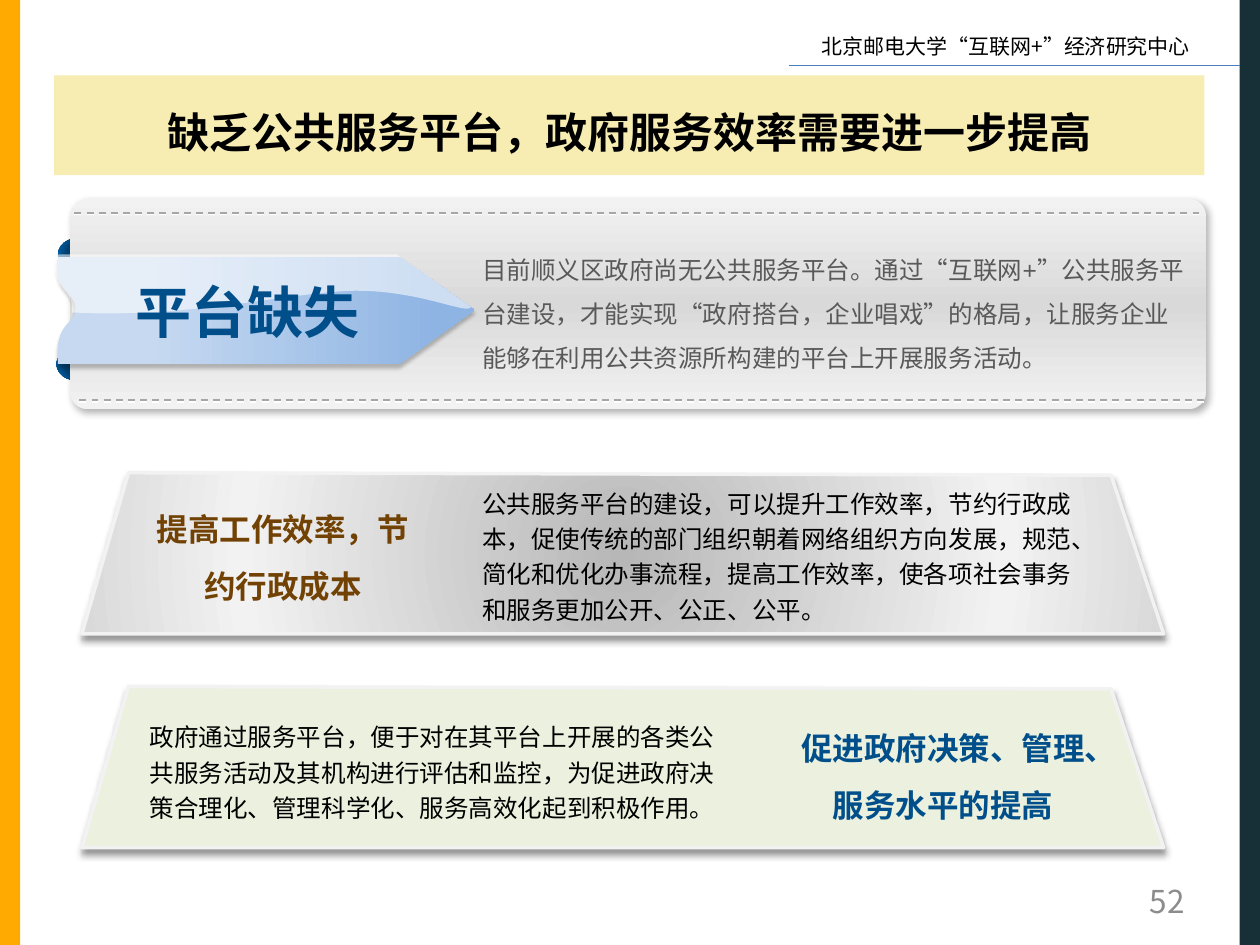
from collections import namedtuple
from dataclasses import dataclass

from lxml import etree
from pptx import Presentation
from pptx.dml.color import RGBColor
from pptx.enum.dml import MSO_LINE
from pptx.enum.shapes import MSO_CONNECTOR, MSO_SHAPE
from pptx.enum.text import MSO_ANCHOR, MSO_AUTO_SIZE, PP_ALIGN
from pptx.oxml.ns import qn
from pptx.util import Cm, Pt

RECTANGLE, ROUNDED, OVAL = MSO_SHAPE.RECTANGLE, MSO_SHAPE.ROUNDED_RECTANGLE, MSO_SHAPE.OVAL
STRAIGHT, DASH = MSO_CONNECTOR.STRAIGHT, MSO_LINE.DASH
LEFT, CENTER, RIGHT = PP_ALIGN.LEFT, PP_ALIGN.CENTER, PP_ALIGN.RIGHT
TOP, MIDDLE = MSO_ANCHOR.TOP, MSO_ANCHOR.MIDDLE

Box = namedtuple("Box", "left top width height")
Gradient = namedtuple("Gradient", "stops angle")
Shadow = namedtuple("Shadow", "color alpha blur distance angle")


@dataclass(frozen=True)
class Theme:
    font: str = "Noto Sans CJK SC"
    latin: str = "Arial"
    narrow: str = "Arial Narrow"
    black: str = "000000"
    white: str = "FFFFFF"
    orange: str = "FFAA00"
    dark: str = "172F37"
    rule: str = "4B7EBC"
    yellow: str = "E9CD23"
    blue: str = "004F8A"
    brown: str = "714203"
    gray: str = "595959"
    number: str = "8C8C8C"
    stitch: str = "A6A6A6"
    edge: str = "F2F2F2"
    green: str = "EBF1DE"
    small: int = 12
    body: int = 14
    heading: int = 18
    title: int = 24
    label: int = 32
    silver: Gradient = Gradient(((0, "B7B7B7"), (70, "F2F2F2"), (100, "D9D9D9")), None)
    pin: Gradient = Gradient(((44, "004272"), (81, "005EA2"), (100, "0070C0")), None)
    card: Gradient = Gradient(((0, "F2F2F2"), (50, "D9D9D9"), (100, "F2F2F2")), 90)
    arrow: Gradient = Gradient(((9, "C6D9F1"), (22, "C6D9F1"), (92, "8EB4E3"), (100, "8EB4E3")), 0)


THEME = Theme()


def add_element(parent, tag, **attributes):
    return etree.SubElement(parent, qn(tag), {key: str(value) for key, value in attributes.items()})


def add_color(parent, color, alpha=100):
    element = add_element(parent, "a:srgbClr", val=color)
    if alpha < 100:
        add_element(element, "a:alpha", val=alpha * 1000)


def set_gradient(shape, gradient):
    shape.fill.background()
    properties = shape._element.spPr
    fill = etree.Element(qn("a:gradFill"), rotWithShape="1")
    stops = add_element(fill, "a:gsLst")
    for position, color in gradient.stops:
        add_color(add_element(stops, "a:gs", pos=position * 1000), color)
    if gradient.angle is None:
        path = add_element(fill, "a:path", path="circle")
        add_element(path, "a:fillToRect", l=50000, t=50000, r=50000, b=50000)
    else:
        add_element(fill, "a:lin", ang=gradient.angle * 60000, scaled=0)
    properties.replace(properties.find(qn("a:noFill")), fill)


def set_shadow(effects, shadow):
    outer = add_element(effects, "a:outerShdw", blurRad=Pt(shadow.blur), dist=Pt(shadow.distance),
                        dir=shadow.angle * 60000, algn="ctr", rotWithShape=0)
    add_color(outer, shadow.color, shadow.alpha)


def style_shape(shape, fill, alpha=100, line=None, shadow=None):
    if isinstance(fill, Gradient):
        set_gradient(shape, fill)
    else:
        shape.fill.solid()
        shape.fill.fore_color.rgb = RGBColor.from_string(fill)
        if alpha < 100:
            color = shape._element.spPr.find(qn("a:solidFill"))[0]
            add_element(color, "a:alpha", val=alpha * 1000)
    if line:
        shape.line.color.rgb = RGBColor.from_string(line)
        shape.line.width = Pt(2)
    else:
        shape.line.fill.background()
    shape.shadow.inherit = False
    if shadow:
        set_shadow(shape._element.spPr.find(qn("a:effectLst")), shadow)
    return shape


def place(box, left, top, width, height):
    return Box(box.left + left, box.top + top, width, height)


def add_block(shapes, kind, box, fill, **style):
    return style_shape(shapes.add_shape(kind, *map(Cm, box)), fill, **style)


def curve(start, first, second, end, steps=16):
    for step in range(1, steps + 1):
        t = step / steps
        weights = ((1 - t) ** 3, 3 * t * (1 - t) ** 2, 3 * t * t * (1 - t), t ** 3)
        yield tuple(sum(w * p[axis] for w, p in zip(weights, (start, first, second, end)))
                    for axis in (0, 1))


def add_outline(shapes, box, segments, fill, **style):
    points = []
    for segment in segments:
        points.extend(curve(points[-1], *segment) if isinstance(segment[0], tuple) else [segment])
    points = [(Cm(box.left + x), Cm(box.top + y)) for x, y in points]
    builder = shapes.build_freeform(*points[0], scale=1.0)
    builder.add_line_segments(points[1:], close=True)
    return style_shape(builder.convert_to_shape(), fill, **style)


def add_line(shapes, start, end, color, width, dash=None, shadow=None):
    connector = shapes.add_connector(STRAIGHT, *map(Cm, start + end))
    connector.line.color.rgb = RGBColor.from_string(color)
    connector.line.width = Pt(width)
    if dash:
        connector.line.dash_style = dash
    effects = add_element(connector._element.spPr, "a:effectLst")
    if shadow:
        set_shadow(effects, shadow)


def write_text(shape, text, size=THEME.body, color=THEME.black, font=THEME.font, bold=False,
               align=LEFT, anchor=TOP, spacing=1.0, grow=False):
    frame = shape.text_frame
    frame.word_wrap = True
    frame.vertical_anchor = anchor
    frame.auto_size = MSO_AUTO_SIZE.SHAPE_TO_FIT_TEXT if grow else MSO_AUTO_SIZE.NONE
    paragraph = frame.paragraphs[0]
    paragraph.alignment = align
    paragraph.line_spacing = spacing
    run = paragraph.add_run()
    run.text = text
    run.font.size = Pt(size)
    run.font.bold = bold
    run.font.name = font
    run.font.color.rgb = RGBColor.from_string(color)
    add_element(run._r.get_or_add_rPr(), "a:ea", typeface=THEME.font)


def add_text(shapes, box, text, **style):
    write_text(shapes.add_textbox(*map(Cm, box)), text, **style)


def add_page_frame(shapes, box):
    bar = 0.41
    right = box.width - bar
    add_block(shapes, RECTANGLE, place(box, 0, 0, bar, box.height), THEME.orange)
    add_block(shapes, RECTANGLE, place(box, right, 0, bar, box.height), THEME.dark)
    add_text(shapes, place(box, 16.31, 0.56, 8.2, 0.76), "北京邮电大学“互联网+”经济研究中心",
             size=THEME.small, grow=True)
    add_line(shapes, (15.9, 1.32), (right, 1.32), THEME.rule, 0.75)
    add_text(shapes, place(box, 18.21, 17.65, 5.92, 1.02), "52", size=THEME.heading,
             color=THEME.number, align=RIGHT, anchor=MIDDLE)


def add_title(shapes, box, text):
    write_text(add_block(shapes, RECTANGLE, box, THEME.yellow, alpha=35), text, size=THEME.title,
               bold=True, align=CENTER, anchor=MIDDLE, spacing=1.25)


def add_banner(shapes, box, label, text):
    for left, top in ((-0.28, 3), (-0.25, 0.79)):
        add_block(shapes, OVAL, place(box, left, top, 0.81, 0.66), THEME.pin)
    card = add_block(shapes, ROUNDED, box, THEME.card, shadow=Shadow(THEME.black, 30, 4.5, 2.6, 53))
    card.adjustments[0] = 0.08
    arrow = [(-0.25, 1.17), (6.63, 1.17), (8.15, 2.24), (6.63, 3.33), (-0.25, 3.33),
             ((-0.33, 2.44), (0.1, 2.57), (0.1, 2.21)),
             ((0.1, 1.88), (-0.38, 1.8), (-0.25, 1.17))]
    gloss = [(-0.3, 1.12), (6.58, 1.12), (8.08, 2.18),
             ((7.98, 2.34), (7.09, 1.85), (5.74, 1.85)),
             ((4.39, 1.88), (2.44, 2.41), (0.03, 2.29)), (0.03, 2.16),
             ((0.03, 1.83), (-0.43, 1.75), (-0.3, 1.12))]
    add_outline(shapes, box, arrow, THEME.arrow, shadow=Shadow(THEME.black, 23, 2, 2, 90))
    add_outline(shapes, box, gloss, THEME.white, alpha=57)
    add_text(shapes, place(box, 0.2, 1.73, 6.73, 1.27), label, size=THEME.label, color=THEME.blue,
             font=THEME.narrow, bold=True, align=CENTER, spacing=0.8, grow=True)
    for start, end, top in ((0.08, 22.78, 0.28), (0.18, 22.86, 4.06)):
        add_line(shapes, (box.left + start, box.top + top), (box.left + end, box.top + top),
                 THEME.stitch, 1, dash=DASH, shadow=Shadow(THEME.white, 100, 0, 1, 90))
    add_text(shapes, place(box, 8.05, 0.71, 14.73, 2.39), text, color=THEME.gray,
             font=THEME.latin, spacing=1.5, grow=True)


def add_panel(shapes, box, fill, heading, heading_place, color, text, text_place):
    outline = [(0.94, 0), (20.75, 0.05), (box.width, box.height), (0, box.height)]
    add_outline(shapes, box, outline, fill, line=THEME.edge, shadow=Shadow(THEME.black, 40, 4, 3, 90))
    add_text(shapes, place(box, *heading_place), heading, size=THEME.heading, color=color,
             font=THEME.latin, bold=True, align=CENTER, spacing=1.5, grow=True)
    add_text(shapes, place(box, *text_place), text, spacing=1.2, grow=True)


def main():
    presentation = Presentation()
    page = Box(0, 0, 25.4, 19.05)
    presentation.slide_width, presentation.slide_height = Cm(page.width), Cm(page.height)
    slide = presentation.slides.add_slide(presentation.slide_layouts[6])
    add_page_frame(slide.shapes, page)
    add_title(slide.shapes, Box(1.09, 1.52, 23.19, 2.01), "缺乏公共服务平台，政府服务效率需要进一步提高")
    add_banner(slide.shapes.add_group_shape().shapes, Box(1.42, 4.01, 22.89, 4.24), "平台缺失",
               "目前顺义区政府尚无公共服务平台。通过“互联网+”公共服务平台建设，才能实现“政府搭台，企业唱戏”的格局，"
               "让服务企业能够在利用公共资源所构建的平台上开展服务活动。")
    panels = slide.shapes.add_group_shape().shapes
    add_panel(panels, Box(1.65, 13.84, 21.81, 3.25), THEME.green,
              "促进政府决策、管理、服务水平的提高", (14.07, 0.36, 6.58, 2.57), THEME.blue,
              "政府通过服务平台，便于对在其平台上开展的各类公共服务活动及其机构进行评估和监控，"
              "为促进政府决策合理化、管理科学化、服务高效化起到积极作用。", (1.12, 0.48, 12.34, 2.41))
    add_panel(panels, Box(1.65, 9.53, 21.81, 3.25), THEME.silver,
              "提高工作效率，节约行政成本", (1.25, 0.25, 5.61, 2.57), THEME.brown,
              "公共服务平台的建设，可以提升工作效率，节约行政成本，促使传统的部门组织朝着网络组织方向发展，"
              "规范、简化和优化办事流程，提高工作效率，使各项社会事务和服务更加公开、公正、公平。",
              (7.82, 0.08, 12.55, 3.12))
    presentation.save("out.pptx")


if __name__ == "__main__":
    main()
